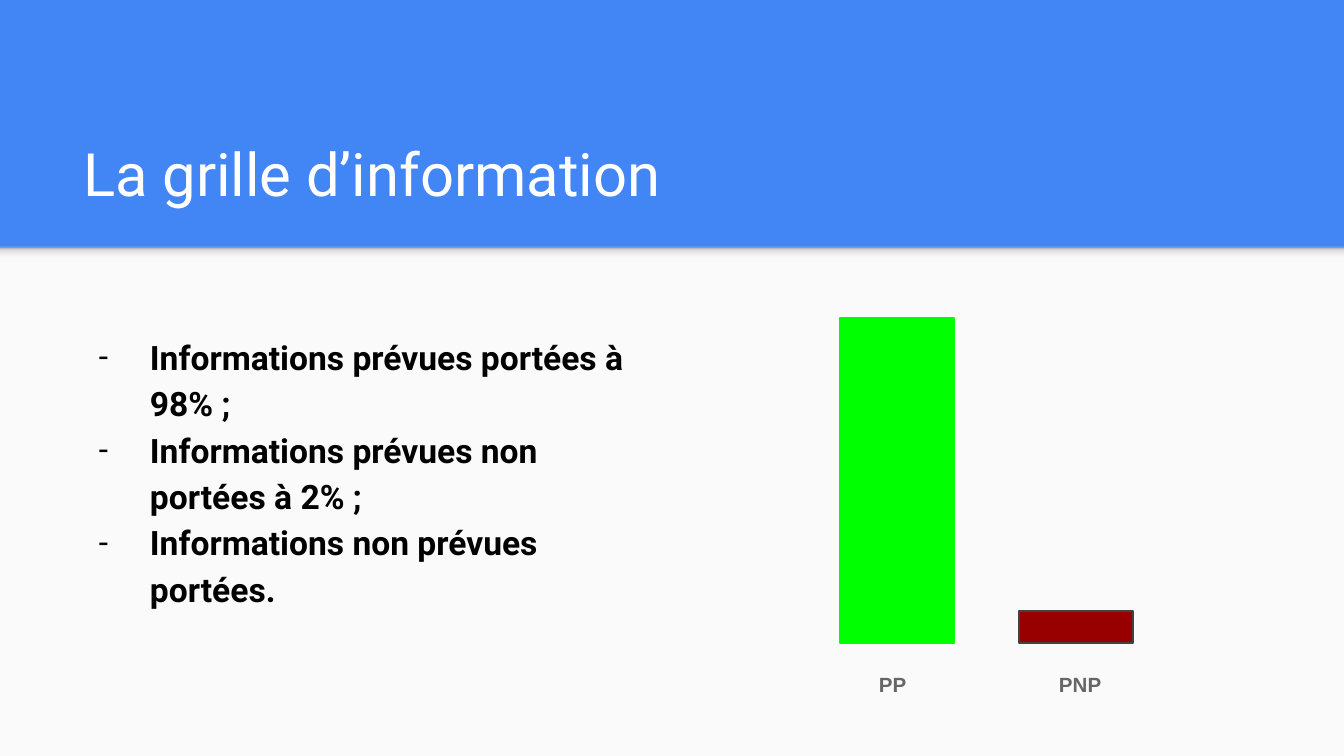
from lxml.etree import SubElement
from pptx import Presentation
from pptx.dml.color import RGBColor
from pptx.enum.shapes import MSO_SHAPE
from pptx.enum.text import MSO_ANCHOR, MSO_AUTO_SIZE, PP_ALIGN
from pptx.oxml.ns import qn
from pptx.util import Pt

PAGE_WIDTH, PAGE_HEIGHT = 1344, 756
HEADER_HEIGHT = 247
EMU_PER_PX = 9144000 / PAGE_WIDTH
INSET = 13

POINTS = [
    "Informations prévues portées à 98% ;",
    "Informations prévues non portées à 2% ;",
    "Informations non prévues portées.",
]
# label, bar height, fill, outline, label offset, label width
BARS = [
    ("PP", 325, "00FF00", "00FF00", 26, 62),
    ("PNP", 32, "980000", "424242", 27, 89),
]
SHADOW_STOPS = [(0, "F9F9F9"), (36, "F9F9F9"), (80, "DEDEDE"), (100, "999999")]


def px(length):
    return round(length * EMU_PER_PX)


def color(value):
    return RGBColor.from_string(value)


def add_rectangle(page, left, top, width, height, fill=None, line=None):
    shape = page.shapes.add_shape(
        MSO_SHAPE.RECTANGLE, px(left), px(top), px(width), px(height))
    shape.shadow.inherit = False
    if fill:
        shape.fill.solid()
        shape.fill.fore_color.rgb = color(fill)
    if line:
        shape.line.color.rgb = color(line)
        shape.line.width = Pt(0.75)
    else:
        shape.line.fill.background()
    return shape


def set_dash_bullet(para):
    properties = para._p.get_or_add_pPr()
    properties.set("marL", str(px(67)))
    properties.set("indent", str(px(-51)))
    bullet_color = SubElement(properties, qn("a:buClr"))
    SubElement(bullet_color, qn("a:srgbClr"), val="000000")
    SubElement(properties, qn("a:buFont"), typeface="Roboto")
    SubElement(properties, qn("a:buChar"), char="-")


def write_text(box, *lines, size, fill, font="Roboto", bold=False,
               anchor=MSO_ANCHOR.TOP, spacing=1.0, bullets=False):
    frame = box.text_frame
    frame.word_wrap = True
    frame.auto_size = MSO_AUTO_SIZE.NONE
    frame.vertical_anchor = anchor
    frame.margin_left = frame.margin_right = px(INSET)
    frame.margin_top = frame.margin_bottom = px(INSET)
    for index, line in enumerate(lines):
        para = frame.paragraphs[0] if index == 0 else frame.add_paragraph()
        para.alignment = PP_ALIGN.LEFT
        if bullets:
            set_dash_bullet(para)
        para.line_spacing = spacing
        span = para.add_run()
        span.text = line
        span.font.name = font
        span.font.size = Pt(size)
        span.font.bold = bold
        span.font.color.rgb = color(fill)


def add_text(page, left, top, width, height, *lines, **text_format):
    box = page.shapes.add_textbox(px(left), px(top), px(width), px(height))
    write_text(box, *lines, **text_format)


def add_background(page, top):
    """Colour the header and lay the pale panel with its soft edge below it."""
    page.background.fill.solid()
    page.background.fill.fore_color.rgb = color("4285F4")
    add_rectangle(page, 0, top, PAGE_WIDTH, PAGE_HEIGHT - top, fill="FAFAFA")
    edge = add_rectangle(page, 0, top, PAGE_WIDTH, 16)
    edge.fill.gradient()
    edge.fill.gradient_angle = 90
    stops = edge._element.spPr.find(qn("a:gradFill")).find(qn("a:gsLst"))
    for stop in list(stops):
        stops.remove(stop)
    for position, value in SHADOW_STOPS:
        stop = SubElement(stops, qn("a:gs"), pos=str(position * 1000))
        SubElement(stop, qn("a:srgbClr"), val=value)


def place_title(page, left, top, width, height):
    title = page.shapes.title
    title.left, title.top = px(left), px(top)
    title.width, title.height = px(width), px(height)
    write_text(title, "La grille d’information", size=32, fill="FFFFFF",
               anchor=MSO_ANCHOR.BOTTOM)


def add_bars(page, left, top, height):
    bar_width, step = 114, 179
    base = top + height
    for index, (label, bar_height, fill, line, offset, width) in enumerate(BARS):
        bar_left = left + index * step
        add_rectangle(page, bar_left, base - bar_height, bar_width, bar_height,
                      fill=fill, line=line)
        add_text(page, bar_left + offset, base + 16, width, 62, label,
                 size=11, fill="666666", font="Arial", bold=True)


def main():
    deck = Presentation()
    deck.slide_width, deck.slide_height = px(PAGE_WIDTH), px(PAGE_HEIGHT)
    page = deck.slides.add_slide(deck.slide_layouts[5])
    add_background(page, HEADER_HEIGHT)
    place_title(page, 70, 109, 1208, 113)
    add_text(page, 70, 318, 587, 325, *POINTS, size=18, fill="000000",
             bold=True, spacing=1.15, bullets=True)
    add_bars(page, 840, 318, 325)
    deck.save("out.pptx")


if __name__ == "__main__":
    main()
